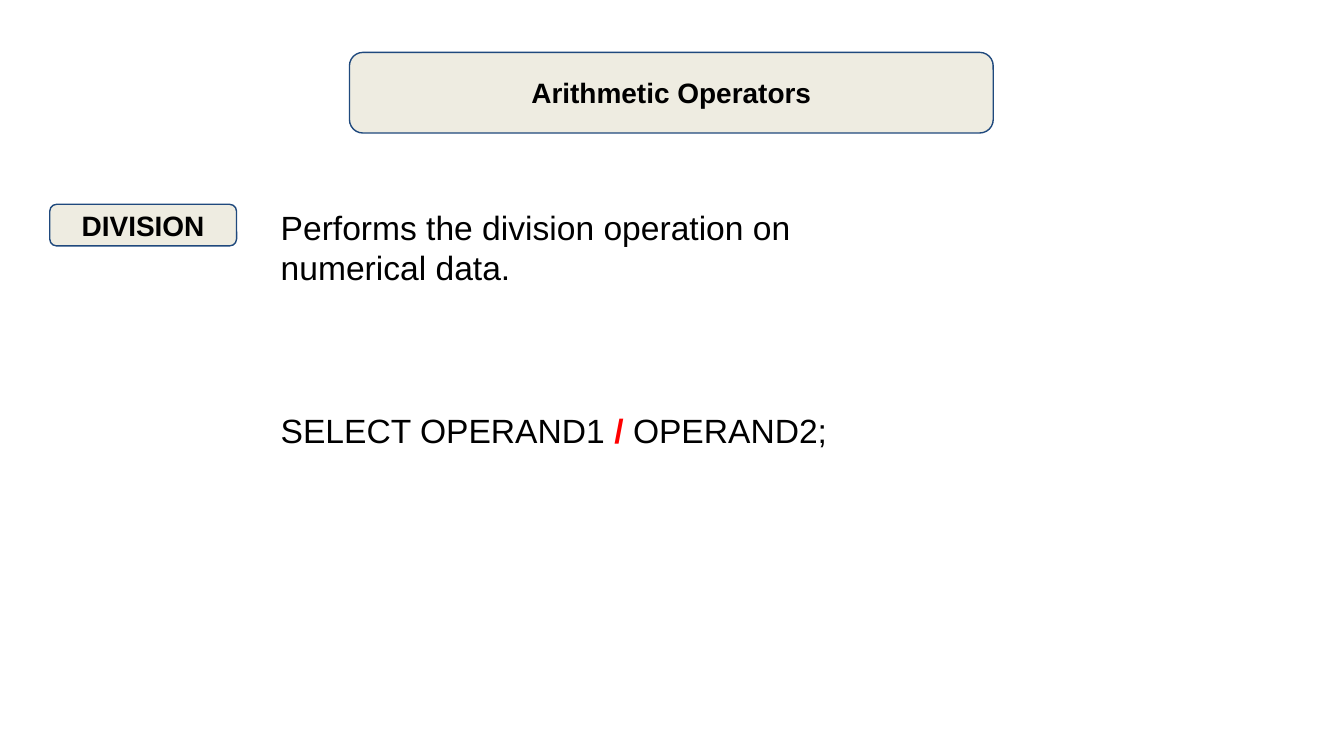
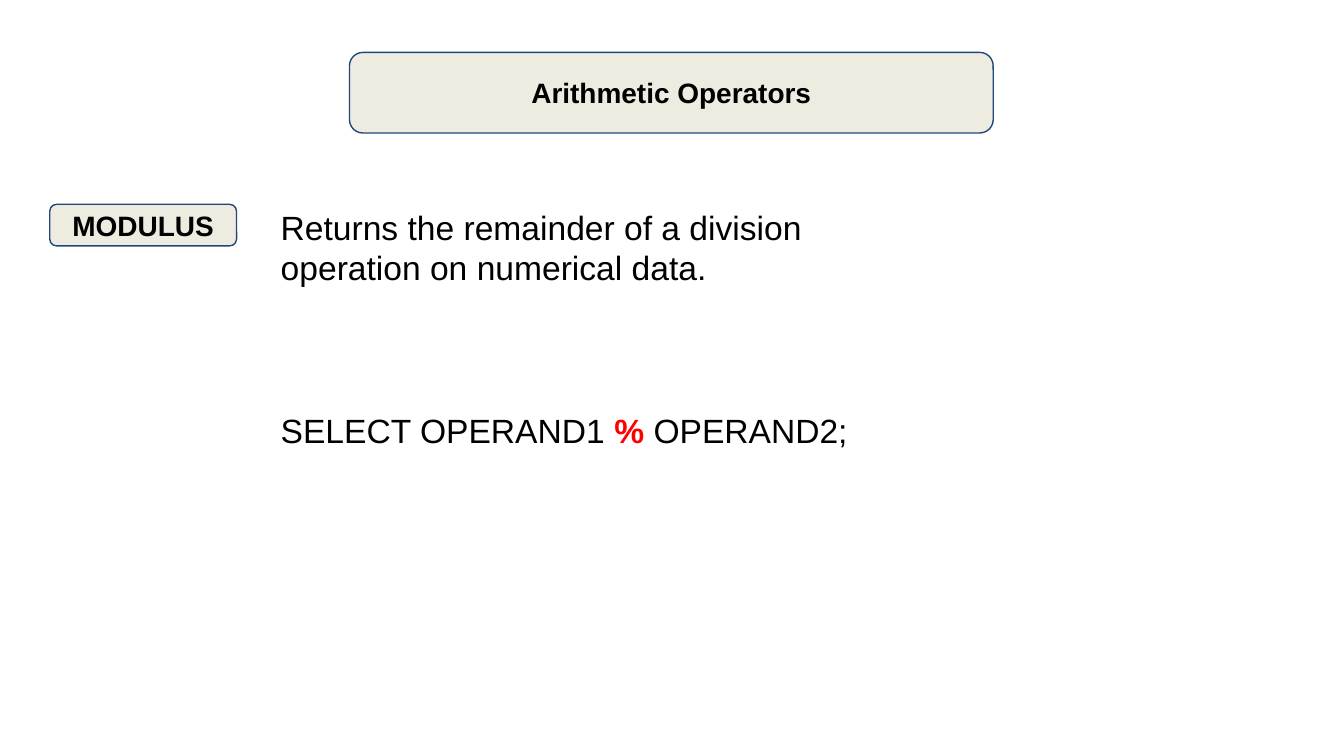
import pptx
import pptx.util
import pptx.dml.color
import pptx.enum.shapes
import pptx.enum.text

Inches, Pt = pptx.util.Inches, pptx.util.Pt
RGBColor = pptx.dml.color.RGBColor
ALIGN = pptx.enum.text.PP_ALIGN
ANCHOR = pptx.enum.text.MSO_ANCHOR

TITLE = "Arithmetic Operators"
OPERATORS = [
    ("DIVISION", "Performs the division operation on numerical data.", "/"),
    ("MODULUS", "Returns the remainder of a division operation on numerical data.", "%"),
]

FONT = "Arial"
CREAM = RGBColor(0xEE, 0xEC, 0xE1)
NAVY = RGBColor(0x1F, 0x49, 0x7D)
BLACK = RGBColor(0, 0, 0)
RED = RGBColor(0xFF, 0, 0)

# 16:9 slide; boxes are left, top, width, height in inches
SLIDE_WIDTH = 10
SLIDE_HEIGHT = SLIDE_WIDTH * 9 / 16
TITLE_BOX = (2.6, 0.39, 4.79, 0.6)
NAME_BOX = (0.37, 1.52, 1.39, 0.31)
MEANING_BOX = (1.99, 1.44, 4.88, 0.46)
SYNTAX_BOX = (1.99, 2.95, 5.11, 0.46)


def write(sp, *parts, size=18, bold=False, align=ALIGN.LEFT, anchor=ANCHOR.TOP):
    """Write parts as one paragraph; a (text, colour) pair is bold in that colour."""
    tf = sp.text_frame
    tf.word_wrap = True
    tf.vertical_anchor = anchor
    tf.margin_left = tf.margin_right = tf.margin_top = tf.margin_bottom = Inches(0.1)
    p = tf.paragraphs[0]
    p.alignment = align
    for part in parts:
        marked = isinstance(part, tuple)
        text, color = part if marked else (part, BLACK)
        r = p.add_run()
        r.text = text
        r.font.name, r.font.size = FONT, Pt(size)
        r.font.bold = bold or marked
        r.font.color.rgb = color


def add_label(s, box, text):
    """Add a cream rounded box with a bold centred label."""
    kind = pptx.enum.shapes.MSO_SHAPE.ROUNDED_RECTANGLE
    sp = s.shapes.add_shape(kind, *map(Inches, box))
    sp.shadow.inherit = False
    sp.fill.solid()
    sp.fill.fore_color.rgb = CREAM
    sp.line.color.rgb = NAVY
    sp.line.width = Pt(0.74)
    write(sp, text, size=15, bold=True, align=ALIGN.CENTER, anchor=ANCHOR.MIDDLE)


def add_text(s, box, *parts):
    """Add a plain text box."""
    write(s.shapes.add_textbox(*map(Inches, box)), *parts)


def add_operator_slide(prs, name, meaning, symbol):
    """Add the slide that explains one operator."""
    s = prs.slides.add_slide(prs.slide_layouts[6])
    add_label(s, TITLE_BOX, TITLE)
    add_label(s, NAME_BOX, name)
    add_text(s, MEANING_BOX, meaning)
    add_text(s, SYNTAX_BOX, "SELECT OPERAND1 ", (symbol + " ", RED), "OPERAND2;")


prs = pptx.Presentation()
prs.slide_width, prs.slide_height = Inches(SLIDE_WIDTH), Inches(SLIDE_HEIGHT)
for operator in OPERATORS:
    add_operator_slide(prs, *operator)
prs.save("out.pptx")
